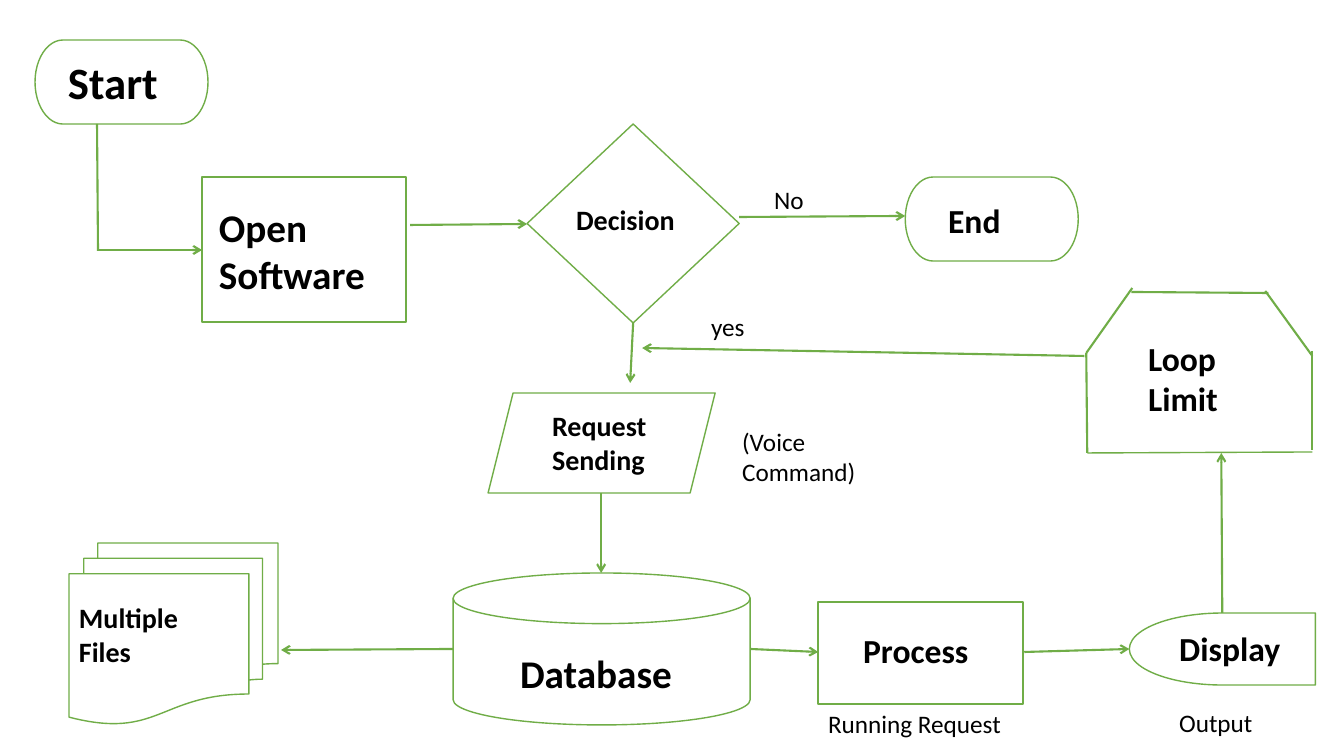
import pptx
import pptx.util
import pptx.dml.color
import pptx.enum.shapes
import pptx.enum.text
import pptx.oxml
import pptx.oxml.ns
from dataclasses import dataclass

SHAPE = pptx.enum.shapes.MSO_SHAPE
RGB = pptx.dml.color.RGBColor.from_string


@dataclass
class Theme:
    font: str = "Calibri"
    ink: str = "000000"
    fill: str = "FFFFFF"
    edge: str = "70AD47"
    thin: float = 1
    thick: float = 1.5
    note: int = 18
    small: int = 20
    mid: int = 24
    large: int = 28
    huge: int = 32


class Chart:
    scale = 914400 / 100.8

    def __init__(self, slide, theme):
        self.slide = slide
        self.theme = theme

    def emu(self, *marks):
        return [round(mark * self.scale) for mark in marks]

    def stroke(self, line, width):
        line.color.rgb = RGB(self.theme.edge)
        line.width = pptx.util.Pt(width)

    def node(self, kind, box, turn=0):
        shape = self.slide.shapes.add_shape(kind, *self.emu(*box))
        shape.rotation = turn
        shape.shadow.inherit = False
        shape.fill.solid()
        shape.fill.fore_color.rgb = RGB(self.theme.fill)
        self.stroke(shape.line, self.theme.thin)

    def line(self, ends, width=None, arrow=False):
        kind = pptx.enum.shapes.MSO_CONNECTOR.STRAIGHT
        link = self.slide.shapes.add_connector(kind, *self.emu(*ends))
        self.stroke(link.line, width or self.theme.thick)
        props = link.element.spPr
        if arrow:
            tail = pptx.oxml.parse_xml(
                f'<a:tailEnd {pptx.oxml.ns.nsdecls("a")} type="arrow"/>')
            props.find(pptx.oxml.ns.qn("a:ln")).append(tail)
        props.append(pptx.oxml.parse_xml(
            f'<a:effectLst {pptx.oxml.ns.nsdecls("a")}/>'))

    def label(self, text, box, size, bold=True):
        frame = self.slide.shapes.add_textbox(*self.emu(*box)).text_frame
        frame.word_wrap = True
        frame.auto_size = pptx.enum.text.MSO_AUTO_SIZE.SHAPE_TO_FIT_TEXT
        frame.text = text
        font = frame.paragraphs[0].runs[0].font
        font.name = self.theme.font
        font.size = pptx.util.Pt(size)
        font.bold = bold
        font.color.rgb = RGB(self.theme.ink)


deck = pptx.Presentation()
theme = Theme()
deck.slide_width, deck.slide_height = pptx.util.Inches(13.33), pptx.util.Inches(7.5)
chart = Chart(deck.slides.add_slide(deck.slide_layouts[6]), theme)

nodes = [
    (SHAPE.FLOWCHART_TERMINATOR, (35, 40, 173, 84)),
    (SHAPE.RECTANGLE, (202, 177, 204, 145)),
    (SHAPE.DIAMOND, (527, 124, 212, 199)),
    (SHAPE.FLOWCHART_TERMINATOR, (905, 177, 173, 84)),
    (SHAPE.PARALLELOGRAM, (488, 393, 227, 100)),
    (SHAPE.FLOWCHART_MAGNETIC_DISK, (453, 573, 297, 152)),
    (SHAPE.FLOWCHART_MULTIDOCUMENT, (69, 543, 209, 181)),
    (SHAPE.RECTANGLE, (818, 602, 205, 102)),
    (SHAPE.FLOWCHART_DELAY, (1129, 613, 186, 72), 180),
]
for node in nodes:
    chart.node(*node)

chart.line((1087, 453, 1312, 452), theme.thin)
limit = [
    (1086, 353, 1087, 453),
    (1312, 351, 1312, 450),
    (1131, 292, 1268, 293),
    (1086, 353, 1132, 288),
    (1265, 291, 1312, 356),
]
start = (97, 124, 98, 251)
for ends in limit + [start]:
    chart.line(ends)

arrows = [
    (98, 250, 202, 250),
    (410, 225, 527, 224),
    (739, 217, 905, 216),
    (633, 323, 630, 383),
    (601, 493, 601, 573),
    (453, 649, 281, 650),
    (750, 649, 818, 652),
    (1024, 652, 1129, 649),
    (1222, 613, 1221, 453),
    (1084, 356, 642, 348),
]
for ends in arrows:
    chart.line(ends, arrow=True)

titles = [
    ("Start", (58, 50, 127, 65), theme.huge),
    ("Open Software", (209, 198, 223, 105), theme.large),
    ("Decision", (566, 198, 121, 44), theme.small),
    ("End", (938, 195, 140, 50), theme.mid),
    ("Request Sending", (542, 404, 145, 78), theme.small),
    ("Database", (510, 644, 253, 57), theme.large),
    ("Multiple Files", (69, 596, 166, 78), theme.small),
    ("Process", (853, 625, 165, 50), theme.mid),
    ("Display", (1169, 623, 148, 50), theme.mid),
    ("Loop Limit", (1138, 333, 130, 92), theme.mid),
]
for title in titles:
    chart.label(*title)

notes = [
    ("yes", (701, 306, 115, 40)),
    ("No", (764, 179, 84, 40)),
    ("Running Request", (818, 703, 234, 40)),
    ("Output", (1169, 702, 140, 40)),
    ("(Voice Command)", (732, 421, 138, 72)),
]
for text, box in notes:
    chart.label(text, box, theme.note, bold=False)

deck.save("out.pptx")
